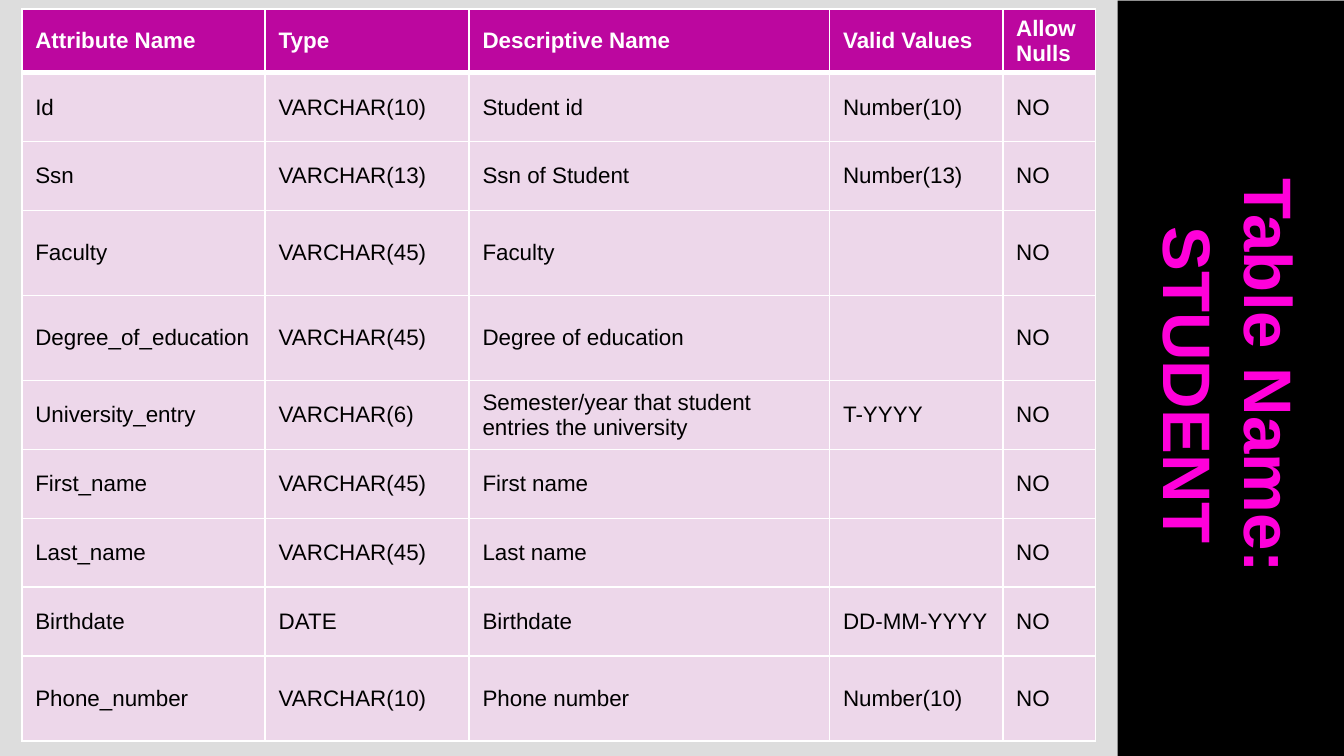
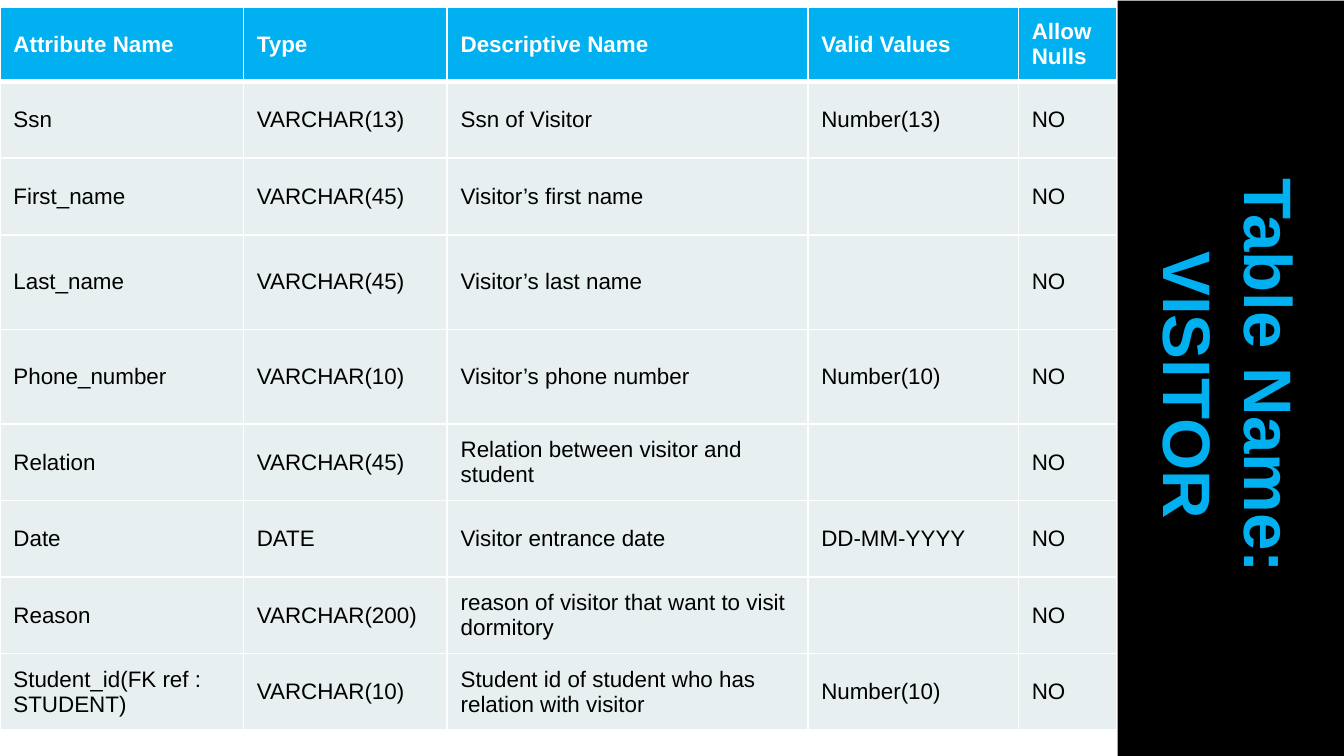
from lxml.etree import SubElement
from pptx import Presentation
from pptx.dml.color import RGBColor
from pptx.enum.shapes import MSO_SHAPE as Shape
from pptx.enum.text import MSO_ANCHOR as Anchor, PP_ALIGN as Align
from pptx.oxml import parse_xml
from pptx.oxml.ns import nsdecls, qn
from pptx.util import Pt

FONT = "Arial"
WHITE, BLACK = "FFFFFF", "000000"
HEADINGS = ("Attribute Name", "Type", "Descriptive Name", "Valid Values", "Allow Nulls")
BANNER_BOX = (598.68, 0.36, 121.68, 411.84)

STUDENT = [
    ("Id", "VARCHAR(10)", "Student id", "Number(10)"),
    ("Ssn", "VARCHAR(13)", "Ssn of Student", "Number(13)"),
    ("Faculty", "VARCHAR(45)", "Faculty", ""),
    ("Degree_of_education", "VARCHAR(45)", "Degree of education", ""),
    ("University_entry", "VARCHAR(6)", "Semester/year that student entries the university", "T-YYYY"),
    ("First_name", "VARCHAR(45)", "First name", ""),
    ("Last_name", "VARCHAR(45)", "Last name", ""),
    ("Birthdate", "DATE", "Birthdate", "DD-MM-YYYY"),
    ("Phone_number", "VARCHAR(10)", "Phone number", "Number(10)"),
]
VISITOR = [
    ("Ssn", "VARCHAR(13)", "Ssn of Visitor", "Number(13)"),
    ("First_name", "VARCHAR(45)", "Visitor’s first name", ""),
    ("Last_name", "VARCHAR(45)", "Visitor’s last name", ""),
    ("Phone_number", "VARCHAR(10)", "Visitor’s phone number", "Number(10)"),
    ("Relation", "VARCHAR(45)", "Relation between visitor and student", ""),
    ("Date", "DATE", "Visitor entrance date", "DD-MM-YYYY"),
    ("Reason", "VARCHAR(200)", "reason of visitor that want to visit dormitory", ""),
    ("Student_id(FK ref : STUDENT)", "VARCHAR(10)",
     "Student id of student who has relation with visitor", "Number(10)"),
]


def paint(target, color):
    """Give a fill one solid colour."""
    target.solid()
    target.fore_color.rgb = RGBColor.from_string(color)


def write(paragraph, text, size, color, bold):
    """Add one styled run to a paragraph."""
    run = paragraph.add_run()
    run.text = text
    run.font.name, run.font.size, run.font.bold = FONT, Pt(size), bold
    run.font.color.rgb = RGBColor.from_string(color)


def rule_cell(cell, top, bottom):
    """Draw white borders around a cell, with the given top and bottom widths."""
    properties = cell._tc.get_or_add_tcPr()
    for place, (side, width) in enumerate(zip("LRTB", (1, 1, top, bottom))):
        properties.insert(place, parse_xml(
            f'<a:ln{side} {nsdecls("a")} w="{Pt(width)}"><a:solidFill>'
            f'<a:srgbClr val="{WHITE}"/></a:solidFill></a:ln{side}>'))


def fade(cell, percent):
    """Make the fill of a cell partly transparent."""
    color = cell._tc.tcPr.find(qn("a:solidFill")).find(qn("a:srgbClr"))
    SubElement(color, qn("a:alpha"), val=str(percent * 1000))


def add_attributes(slide, box, widths, heights, attributes, header_fill, body_fill, opacity):
    """Place the attribute table in its box."""
    records = [HEADINGS] + [(*attribute, "NO") for attribute in attributes]
    grid = slide.shapes.add_table(len(records), len(HEADINGS), *map(Pt, box)).table
    grid.horz_banding = False
    for column, width in zip(grid.columns, widths):
        column.width = Pt(width)
    for index, (record, height) in enumerate(zip(records, heights)):
        grid.rows[index].height = Pt(height)
        header = index == 0
        for position, text in enumerate(record):
            cell = grid.cell(index, position)
            cell.vertical_anchor = Anchor.MIDDLE
            paint(cell.fill, header_fill if header else body_fill)
            if not header and opacity < 100:
                fade(cell, opacity)
            rule_cell(cell, 3 if index == 1 else 1, 3 if header else 1)
            if text:
                write(cell.text_frame.paragraphs[0], text, 12, WHITE if header else BLACK, header)


def add_banner(slide, box, entity, color):
    """Fill the box with the black band that reads downwards."""
    left, top, width, height = box
    shift = (height - width) / 2
    banner = slide.shapes.add_shape(
        Shape.RECTANGLE, Pt(left - shift), Pt(top + shift), Pt(height), Pt(width))
    banner.rotation = 90
    banner.shadow.inherit = False
    banner.line.fill.background()
    paint(banner.fill, BLACK)
    frame = banner.text_frame
    frame.word_wrap = True
    frame.vertical_anchor = Anchor.MIDDLE
    for paragraph, text in ((frame.paragraphs[0], "Table Name: "), (frame.add_paragraph(), entity)):
        paragraph.alignment = Align.CENTER
        write(paragraph, text, 36, color, True)


def add_entity_slide(deck, entity, title_color, background, origin, widths, heights,
                     attributes, header_fill, body_fill, opacity=100):
    """Build one slide that describes a database table."""
    slide = deck.slides.add_slide(deck.slide_layouts[6])
    paint(slide.background.fill, background)
    add_attributes(slide, (*origin, sum(widths), sum(heights)), widths, heights,
                   attributes, header_fill, body_fill, opacity)
    add_banner(slide, BANNER_BOX, entity, title_color)


def main():
    """Build and save the deck."""
    deck = Presentation()
    deck.slide_width, deck.slide_height = Pt(720), Pt(405)
    low, tall = 36.9, 45.6
    add_entity_slide(
        deck, "STUDENT", "FF00DA", "DDDDDD", (11.7, 4.9), (130.4, 109.2, 193.2, 92.7, 49.7),
        (26, low, low, tall, tall, low, low, low, low, tall),
        STUDENT, "BC079F", "FED3F8", 50)
    low, tall = 41, 50.7
    add_entity_slide(
        deck, "VISITOR", "00B0F0", WHITE, (0, 3.6), (130.4, 109.2, 193.2, 112.8, 53),
        (40.2, low, low, tall, tall, low, low, low, low),
        VISITOR, "00B0F0", "E7EFF1")
    deck.save("out.pptx")


if __name__ == "__main__":
    main()
